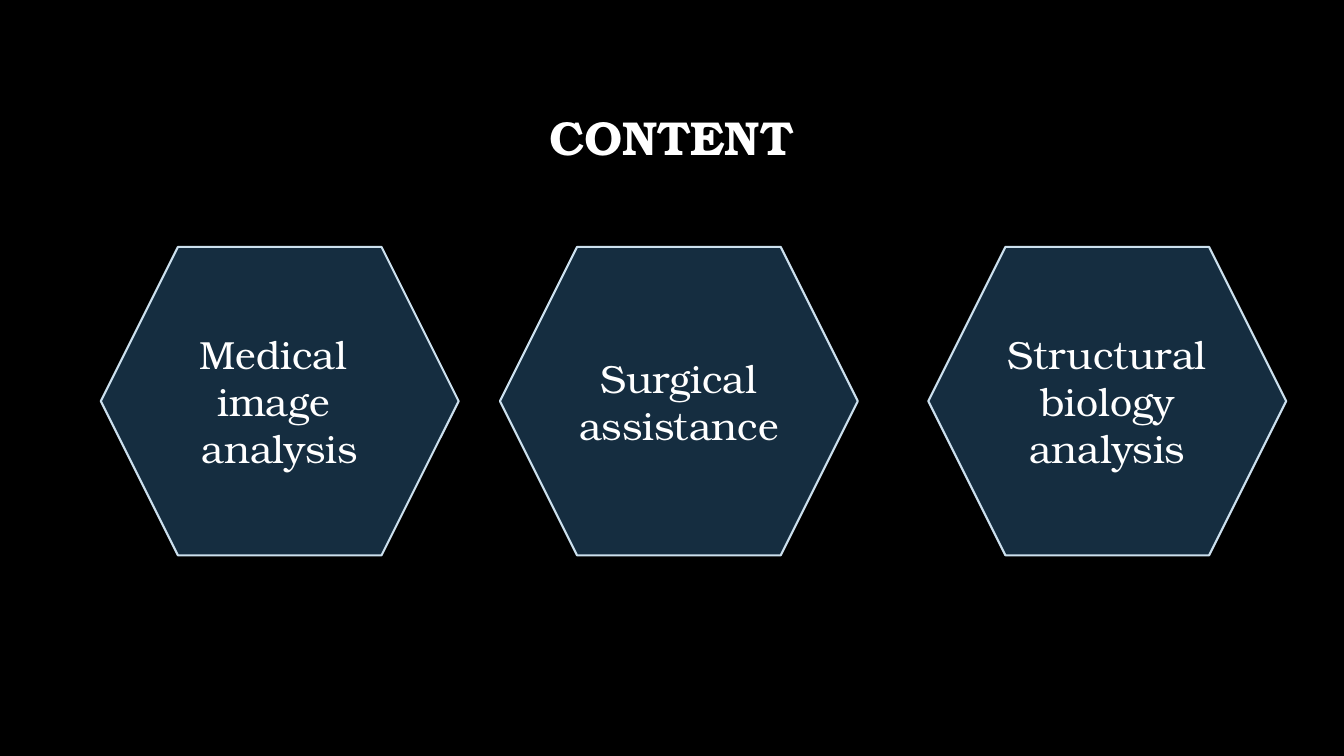
from typing import NamedTuple

from pptx import Presentation
from pptx.dml.color import RGBColor
from pptx.enum.shapes import MSO_SHAPE
from pptx.enum.text import MSO_ANCHOR, PP_ALIGN
from pptx.slide import Slide
from pptx.text.text import TextFrame
from pptx.util import Pt

BLACK = RGBColor(0x00, 0x00, 0x00)
WHITE = RGBColor(0xFF, 0xFF, 0xFF)
NAVY = RGBColor(0x15, 0x2D, 0x40)
PALE_BLUE = RGBColor(0xCC, 0xE0, 0xEE)
FONT = "TeX Gyre Bonum"

HEXAGON_TOP = Pt(176.4)
HEXAGON_WIDTH = Pt(255.6)
HEXAGON_HEIGHT = Pt(220.3)


class Topic(NamedTuple):
    left: float
    lines: tuple[str, ...]


TOPICS = (
    Topic(72, ("Medical ", "image ", "analysis")),
    Topic(357.1, (" Surgical ", "assistance")),
    Topic(663.1, ("Structural biology analysis",)),
)


def write_lines(frame: TextFrame, lines: tuple[str, ...], size: float,
                bold: bool = False, line_spacing: float = 1.0) -> None:
    """Fill a frame with centred white paragraphs, one per line."""
    frame.word_wrap = True
    frame.vertical_anchor = MSO_ANCHOR.MIDDLE
    for index, line in enumerate(lines):
        para = frame.add_paragraph() if index else frame.paragraphs[0]
        para.alignment = PP_ALIGN.CENTER
        para.line_spacing = line_spacing
        span = para.add_run()
        span.text = line
        span.font.name = FONT
        span.font.size = Pt(size)
        span.font.bold = bold
        span.font.color.rgb = WHITE


def add_title(page: Slide) -> None:
    title = page.shapes.title
    title.left, title.top = Pt(72), Pt(48.2)
    title.width, title.height = Pt(815), Pt(104.4)
    write_lines(title.text_frame, ("CONTENT",), 34, bold=True, line_spacing=0.9)


def add_topic(page: Slide, topic: Topic) -> None:
    hexagon = page.shapes.add_shape(MSO_SHAPE.HEXAGON, Pt(topic.left), HEXAGON_TOP,
                                    HEXAGON_WIDTH, HEXAGON_HEIGHT)
    hexagon.shadow.inherit = False
    hexagon.fill.solid()
    hexagon.fill.fore_color.rgb = NAVY
    hexagon.line.color.rgb = PALE_BLUE
    hexagon.line.width = Pt(1.5)
    write_lines(hexagon.text_frame, topic.lines, 28)


def main() -> None:
    deck = Presentation()
    deck.slide_width, deck.slide_height = Pt(960), Pt(540)
    page = deck.slides.add_slide(deck.slide_layouts.get_by_name("Title Only"))
    page.background.fill.solid()
    page.background.fill.fore_color.rgb = BLACK
    add_title(page)
    for topic in TOPICS:
        add_topic(page, topic)
    deck.save("out.pptx")


if __name__ == "__main__":
    main()
